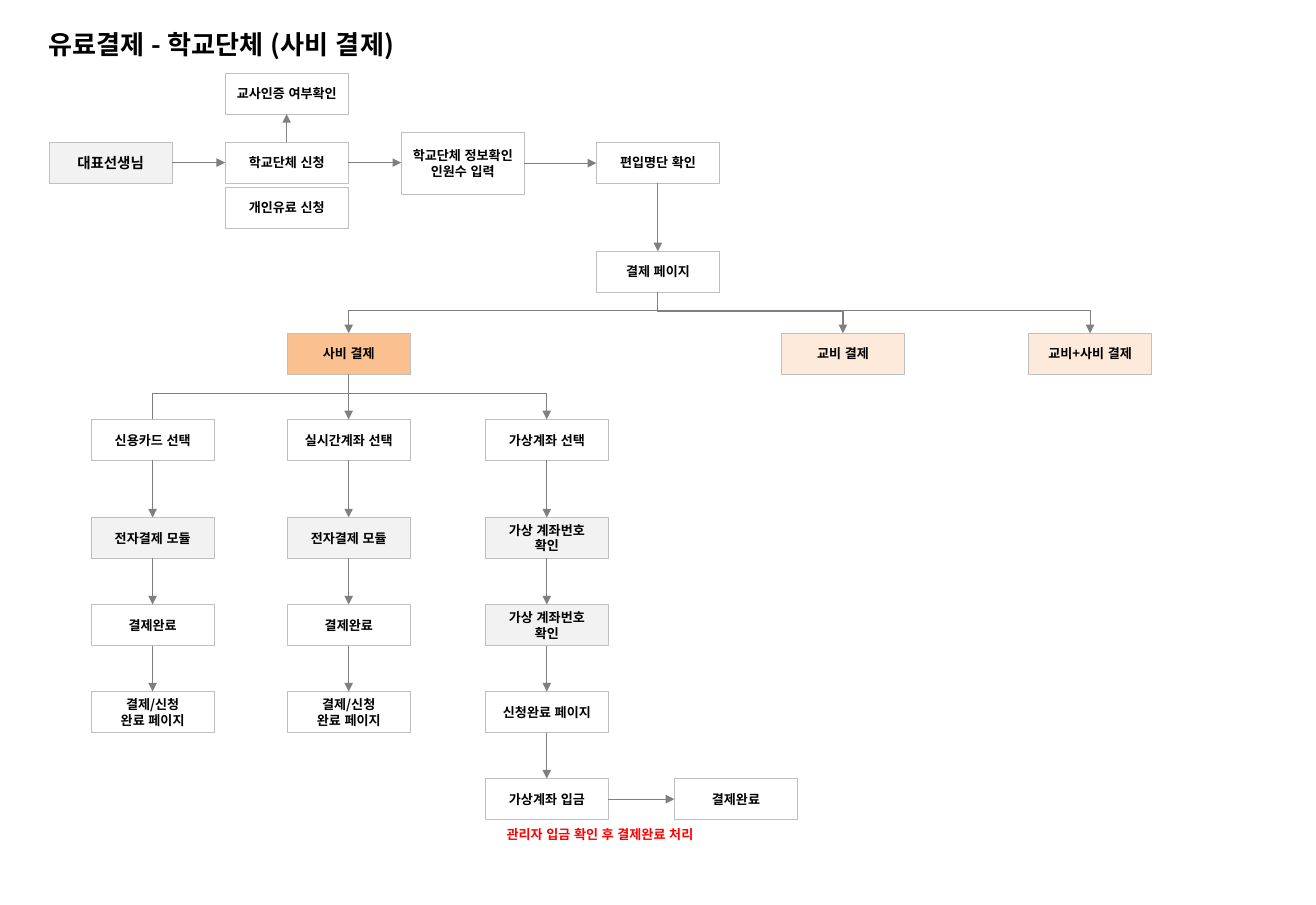
"""Build the flowchart slide for paid school group checkout."""
from lxml import etree
from pptx import Presentation
from pptx import util as u
from pptx.dml.color import RGBColor
from pptx.enum import lang, shapes, text
from pptx.oxml.ns import qn

SCALE = 914400 / 104.4
FONT = "Noto Sans CJK KR"
COLORS = {"white": "FFFFFF", "gray": "F2F2F2", "peach": "FDEADA", "orange": "FAC090",
          "border": "BFBFBF", "arrow": "7F7F7F", "black": "000000", "red": "FF0000"}

TITLE = "유료결제 - 학교단체 (사비 결제)"
NOTE = "관리자 입금 확인 후 결제완료 처리"
BOX_W, BOX_H, TALL_H = 123, 41, 62

STEPS = {
    "teacher": ("대표선생님", 49, 142, "gray"),
    "verify": ("교사인증 여부확인", 225, 73, "white"),
    "group": ("학교단체 신청", 225, 142, "white"),
    "personal": ("개인유료 신청", 225, 187, "white"),
    "info": ("학교단체 정보확인\n인원수 입력", 401, 132, "white"),
    "roster": ("편입명단 확인", 596, 142, "white"),
    "checkout": ("결제 페이지", 596, 251, "white"),
    "private": ("사비 결제", 287, 333, "orange"),
    "school": ("교비 결제", 781, 333, "peach"),
    "mixed": ("교비+사비 결제", 1028, 333, "peach"),
    "paid": ("결제완료", 674, 778, "white"),
}
MODULE = ("전자결제 모듈", "gray")
DONE = [("결제완료", "white"), ("결제/신청\n완료 페이지", "white")]
ACCOUNT = ("가상 계좌번호\n확인", "gray")
METHODS = {
    "card": (91, [("신용카드 선택", "white"), MODULE, *DONE]),
    "transfer": (287, [("실시간계좌 선택", "white"), MODULE, *DONE]),
    "virtual": (485, [("가상계좌 선택", "white"), ACCOUNT, ACCOUNT,
                      ("신청완료 페이지", "white"), ("가상계좌 입금", "white")]),
}
SELECT_Y, FLOW_Y, FLOW_STEP = 419, 517, 87

LINKS = [("teacher", "group"), ("group", "verify"), ("group", "info"), ("info", "roster"),
         ("roster", "checkout"), ("private", "transfer0"), ("virtual4", "paid")]
BRANCHES = [("checkout", "private", 310, True), ("checkout", "school", 311, True),
            ("checkout", "mixed", 310, True), ("private", "card0", 393, False),
            ("private", "virtual0", 393, True)]


def px(n):
    return u.Emu(round(n * SCALE))


def rgb(name):
    return RGBColor.from_string(COLORS[name])


def write(sp, content, size=9, color="black", align=text.PP_ALIGN.LEFT,
          anchor=text.MSO_ANCHOR.TOP):
    tf = sp.text_frame
    tf.word_wrap = True
    tf.vertical_anchor = anchor
    for i, line in enumerate(content.split("\n")):
        p = tf.add_paragraph() if i else tf.paragraphs[0]
        p.alignment = align
        r = p.add_run()
        r.text = line
        r.font.size, r.font.bold, r.font.name = u.Pt(size), True, FONT
        r.font.language_id = lang.MSO_LANGUAGE_ID.KOREAN
        r.font.color.rgb = rgb(color)
        ea = etree.SubElement(r.font._element, qn("a:ea"))
        ea.set("typeface", FONT)


def add_label(s, x, y, w, h, content, **fmt):
    write(s.shapes.add_textbox(px(x), px(y), px(w), px(h)), content, **fmt)


def add_step(s, key, content, x, y, fill):
    h = TALL_H if key == "info" else BOX_H
    sp = s.shapes.add_shape(shapes.MSO_SHAPE.RECTANGLE, px(x), px(y), px(BOX_W), px(h))
    sp.shadow.inherit = False
    sp.fill.solid()
    sp.fill.fore_color.rgb = rgb(fill)
    sp.line.color.rgb = rgb("border")
    sp.line.width = u.Pt(0.25)
    write(sp, content, size=10 if key == "teacher" else 9,
          align=text.PP_ALIGN.CENTER, anchor=text.MSO_ANCHOR.MIDDLE)
    return x, y, BOX_W, h


def add_line(s, kind, x1, y1, x2, y2, arrow=True):
    c = s.shapes.add_connector(kind, px(x1), px(y1), px(x2), px(y2))
    c.line.color.rgb = rgb("arrow")
    c.line.width = u.Pt(0.75)
    if arrow:
        etree.SubElement(c.line._get_or_add_ln(), qn("a:tailEnd")).set("type", "triangle")
    etree.SubElement(c._element.spPr, qn("a:effectLst"))
    return c


def link(s, a, b):
    ax, ay, aw, ah = a
    bx, by, bw, bh = b
    if ax == bx:
        mid = ax + aw / 2
        ends = (mid, ay + ah, mid, by) if by > ay else (mid, ay, mid, by + bh)
    else:
        mid = ay + ah / 2
        ends = (ax + aw, mid, bx, mid)
    add_line(s, shapes.MSO_CONNECTOR.STRAIGHT, *ends)


def branch(s, a, b, bend, arrow):
    x1, y1 = a[0] + a[2] / 2, a[1] + a[3]
    x2, y2 = b[0] + b[2] / 2, b[1]
    cx, cy = (x1 + x2) / 2, (y1 + y2) / 2
    half_w, half_h = (y2 - y1) / 2, abs(x2 - x1) / 2
    c = add_line(s, shapes.MSO_CONNECTOR.ELBOW, cx - half_w, cy - half_h,
                 cx + half_w, cy + half_h, arrow)
    xfrm = c._element.spPr.find(qn("a:xfrm"))
    xfrm.set("rot", "5400000")
    if x2 > x1:
        xfrm.set("flipV", "1")
    geom = c._element.spPr.find(qn("a:prstGeom"))
    av = geom.find(qn("a:avLst"))
    if av is None:
        av = etree.SubElement(geom, qn("a:avLst"))
    gd = etree.SubElement(av, qn("a:gd"))
    gd.set("name", "adj1")
    gd.set("fmla", f"val {round((bend - y1) / (y2 - y1) * 100000)}")


def main():
    prs = Presentation()
    prs.slide_width = u.Cm(32)
    prs.slide_height = u.Cm(22)
    s = prs.slides.add_slide(prs.slide_layouts[6])
    steps, links = dict(STEPS), list(LINKS)
    for name, (x, flow) in METHODS.items():
        for i, (content, fill) in enumerate(flow):
            y = FLOW_Y + (i - 1) * FLOW_STEP if i else SELECT_Y
            steps[f"{name}{i}"] = (content, x, y, fill)
            if i:
                links.append((f"{name}{i - 1}", f"{name}{i}"))
    boxes = {key: add_step(s, key, *step) for key, step in steps.items()}
    for a, b in links:
        link(s, boxes[a], boxes[b])
    for a, b, bend, arrow in BRANCHES:
        branch(s, boxes[a], boxes[b], bend, arrow)
    add_label(s, 38, 23, 392, 42, TITLE, size=18)
    add_label(s, 496, 821, 210, 26, NOTE, color="red")
    prs.save("out.pptx")


if __name__ == "__main__":
    main()
